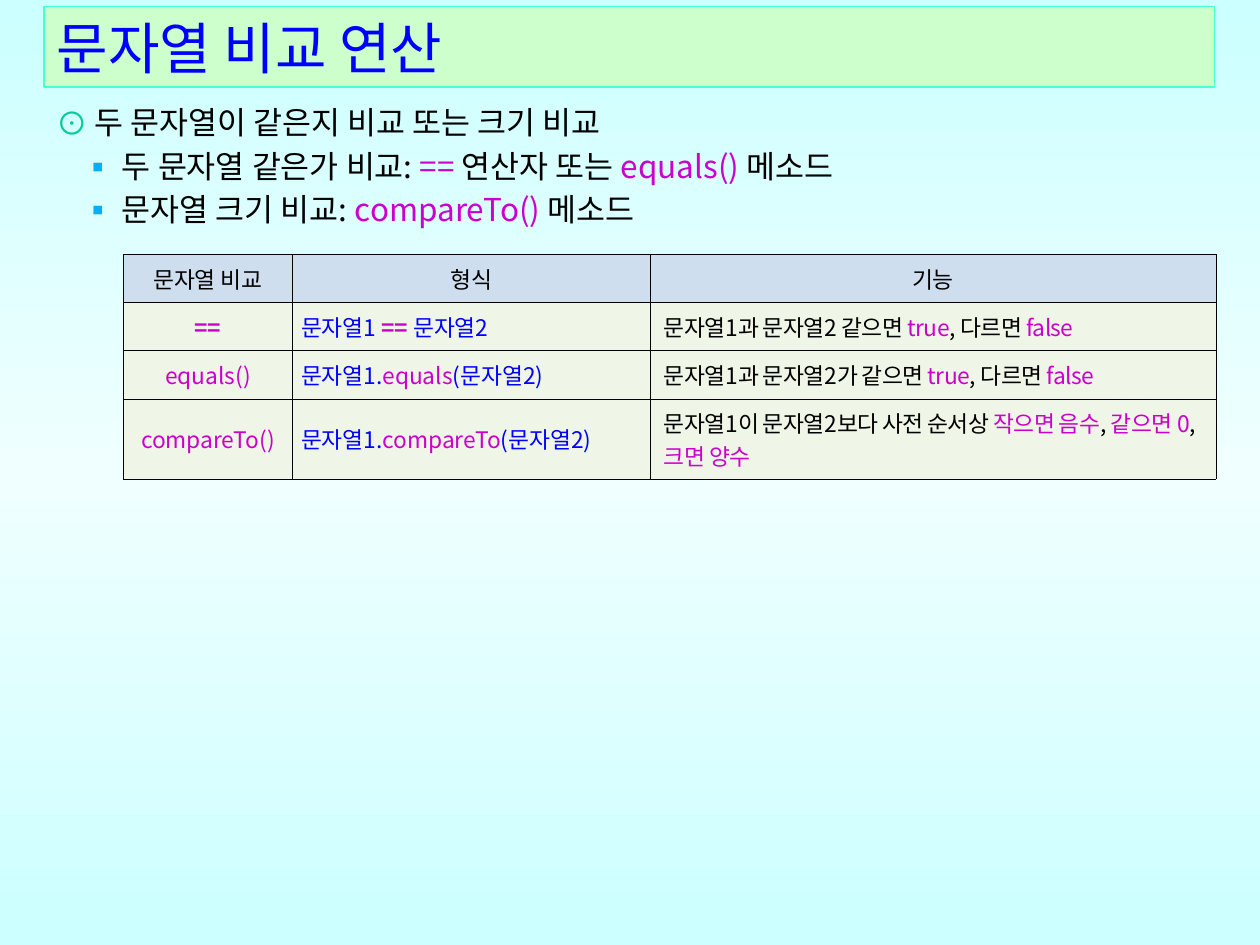
from copy import deepcopy

from lxml.etree import SubElement
from pptx import Presentation
from pptx.dml.color import RGBColor
from pptx.enum.text import MSO_ANCHOR, MSO_AUTO_SIZE, PP_ALIGN
from pptx.oxml.ns import qn
from pptx.util import Inches, Pt

BLACK = RGBColor(0x00, 0x00, 0x00)
BLUE = RGBColor(0x00, 0x00, 0xFF)
MAGENTA = RGBColor(0xCC, 0x00, 0xCC)
TEAL = RGBColor(0x00, 0xCC, 0x99)
SKY = RGBColor(0x00, 0xB0, 0xF0)
AQUA = RGBColor(0x47, 0xFF, 0xD1)
PALE_CYAN = RGBColor(0xCC, 0xFF, 0xFF)
ICE = RGBColor(0xF0, 0xFF, 0xFF)
PALE_GREEN = RGBColor(0xCC, 0xFF, 0xCC)
HEADER_FILL = RGBColor(0xCE, 0xDE, 0xEF)
BODY_FILL = RGBColor(0xEF, 0xF6, 0xE7)

BULLETS = [
    ("⊙", TEAL, 0.3, 0.3, [("두 문자열이 같은지 비교 또는 크기 비교", BLACK)]),
    ("▪", SKY, 0.52, 0.31, [
        ("두 문자열 같은가 비교: ", BLACK), ("== ", MAGENTA),
        ("연산자 또는 ", BLACK), ("equals() ", MAGENTA), ("메소드", BLACK)]),
    ("▪", SKY, 0.52, 0.31, [
        ("문자열 크기 비교: ", BLACK), ("compareTo() ", MAGENTA), ("메소드", BLACK)]),
]
TRUE_OR_FALSE = [("true", MAGENTA), (", 다르면 ", BLACK), ("false", MAGENTA)]
ROWS = [
    [[("문자열 비교", BLACK)], [("형식", BLACK)], [("기능", BLACK)]],
    [[("==", MAGENTA)],
     [("문자열1 ", BLUE), ("== ", MAGENTA), ("문자열2", BLUE)],
     [("문자열1과 문자열2 같으면 ", BLACK), *TRUE_OR_FALSE]],
    [[("equals()", MAGENTA)],
     [("문자열1.", BLUE), ("equals", MAGENTA), ("(문자열2)", BLUE)],
     [("문자열1과 문자열2가 같으면 ", BLACK), *TRUE_OR_FALSE]],
    [[("compareTo()", MAGENTA)],
     [("문자열1.", BLUE), ("compareTo", MAGENTA), ("(문자열2)", BLUE)],
     [("문자열1이 문자열2보다 사전 순서상 ", BLACK), ("작으면 음수", MAGENTA),
      (", ", BLACK), ("같으면 0", MAGENTA), (", ", BLACK), ("크면 양수", MAGENTA)]],
]
COLUMN_WIDTHS = [1.34, 2.84, 4.49]
ROW_HEIGHTS = [0.38, 0.38, 0.39, 0.63]


def add_text(paragraph, text, *, size, color, font="Noto Sans CJK KR", bold=False, spacing=0):
    run = paragraph.add_run()
    run.text = text
    run.font.size = Pt(size)
    run.font.bold = bold
    run.font.color.rgb = color
    run.font.name = font
    properties = run.font._element
    SubElement(properties, qn("a:ea"), typeface=font)
    if spacing:
        properties.set("spc", str(round(spacing * 100)))


class SlideBuilder:
    """Holds the text style and the current slide, and adds each kind of element."""

    def __init__(self, slide, font="Noto Sans CJK KR"):
        self.slide = slide
        self.font = font

    def add_background(self, colors):
        fill = self.slide.background.fill
        fill.gradient()
        fill.gradient_angle = 270
        stop_list = self.slide.element.find(".//" + qn("a:gsLst"))
        stop_list.insert(1, deepcopy(stop_list[0]))
        for index, (stop, color) in enumerate(zip(fill.gradient_stops, colors)):
            stop.color.rgb = color
            stop.position = index / (len(colors) - 1)

    def add_title(self, text):
        title = self.slide.shapes.title
        title.left, title.top = Inches(0.35), Inches(0.05)
        title.width, title.height = Inches(9.29), Inches(0.64)
        title.fill.solid()
        title.fill.fore_color.rgb = PALE_GREEN
        title.line.color.rgb = AQUA
        title.line.width = Pt(0.75)
        frame = title.text_frame
        frame.auto_size = MSO_AUTO_SIZE.NONE
        frame.vertical_anchor = MSO_ANCHOR.MIDDLE
        paragraph = frame.paragraphs[0]
        paragraph.alignment = PP_ALIGN.LEFT
        add_text(paragraph, text, size=32, color=BLUE, font=self.font)

    def add_bullets(self, bullets):
        box = self.slide.shapes.add_textbox(Inches(0.35), Inches(0.72), Inches(9.33), Inches(1.15))
        frame = box.text_frame
        frame.word_wrap = True
        for index, (mark, mark_color, margin, hanging, runs) in enumerate(bullets):
            paragraph = frame.add_paragraph() if index else frame.paragraphs[0]
            paragraph.line_spacing = Pt(25)
            properties = paragraph._p.get_or_add_pPr()
            properties.set("marL", str(Inches(margin)))
            properties.set("indent", str(-Inches(hanging)))
            color = SubElement(properties, qn("a:buClr"))
            SubElement(color, qn("a:srgbClr"), val=str(mark_color))
            SubElement(properties, qn("a:buFont"), typeface=self.font)
            SubElement(properties, qn("a:buChar"), char=mark)
            for text, text_color in runs:
                add_text(paragraph, text, size=18, color=text_color, font=self.font)

    def add_table(self, rows, widths, heights):
        frame = self.slide.shapes.add_table(
            len(rows), len(widths), Inches(0.98), Inches(2.02),
            Inches(sum(widths)), Inches(sum(heights)))
        table = frame.table
        table.first_row = table.horz_banding = False
        for column, width in zip(table.columns, widths):
            column.width = Inches(width)
        for row, height in zip(table.rows, heights):
            row.height = Inches(height)
        for row_index, row in enumerate(rows):
            for column_index, runs in enumerate(row):
                self.format_cell(table.cell(row_index, column_index), runs, row_index, column_index)

    def format_cell(self, cell, runs, row_index, column_index):
        cell.margin_left = cell.margin_right = Inches(0.07)
        cell.margin_top = cell.margin_bottom = Inches(0.02)
        cell.vertical_anchor = MSO_ANCHOR.MIDDLE
        self.add_borders(cell)
        cell.fill.solid()
        cell.fill.fore_color.rgb = BODY_FILL if row_index else HEADER_FILL
        paragraph = cell.text_frame.paragraphs[0]
        centered = row_index == 0 or column_index == 0
        paragraph.alignment = PP_ALIGN.CENTER if centered else PP_ALIGN.LEFT
        is_description = row_index > 0 and column_index == 2
        if is_description:
            paragraph._p.get_or_add_pPr().set("marL", str(Inches(0.04)))
        for text, color in runs:
            add_text(paragraph, text, size=13, color=color, font=self.font,
                     bold=text.strip() == "==", spacing=-0.3 if is_description else 0)

    def add_borders(self, cell):
        properties = cell._tc.get_or_add_tcPr()
        for side in ("a:lnL", "a:lnR", "a:lnT", "a:lnB"):
            line = SubElement(properties, qn(side), w=str(Pt(0.25)))
            fill = SubElement(line, qn("a:solidFill"))
            SubElement(fill, qn("a:srgbClr"), val=str(BLACK))


def main():
    presentation = Presentation()
    presentation.slide_width = Inches(10)
    presentation.slide_height = Inches(7.5)
    builder = SlideBuilder(presentation.slides.add_slide(presentation.slide_layouts[5]))
    builder.add_background([PALE_CYAN, ICE, PALE_CYAN])
    builder.add_title("문자열 비교 연산")
    builder.add_bullets(BULLETS)
    builder.add_table(ROWS, COLUMN_WIDTHS, ROW_HEIGHTS)
    presentation.save("out.pptx")


if __name__ == "__main__":
    main()
